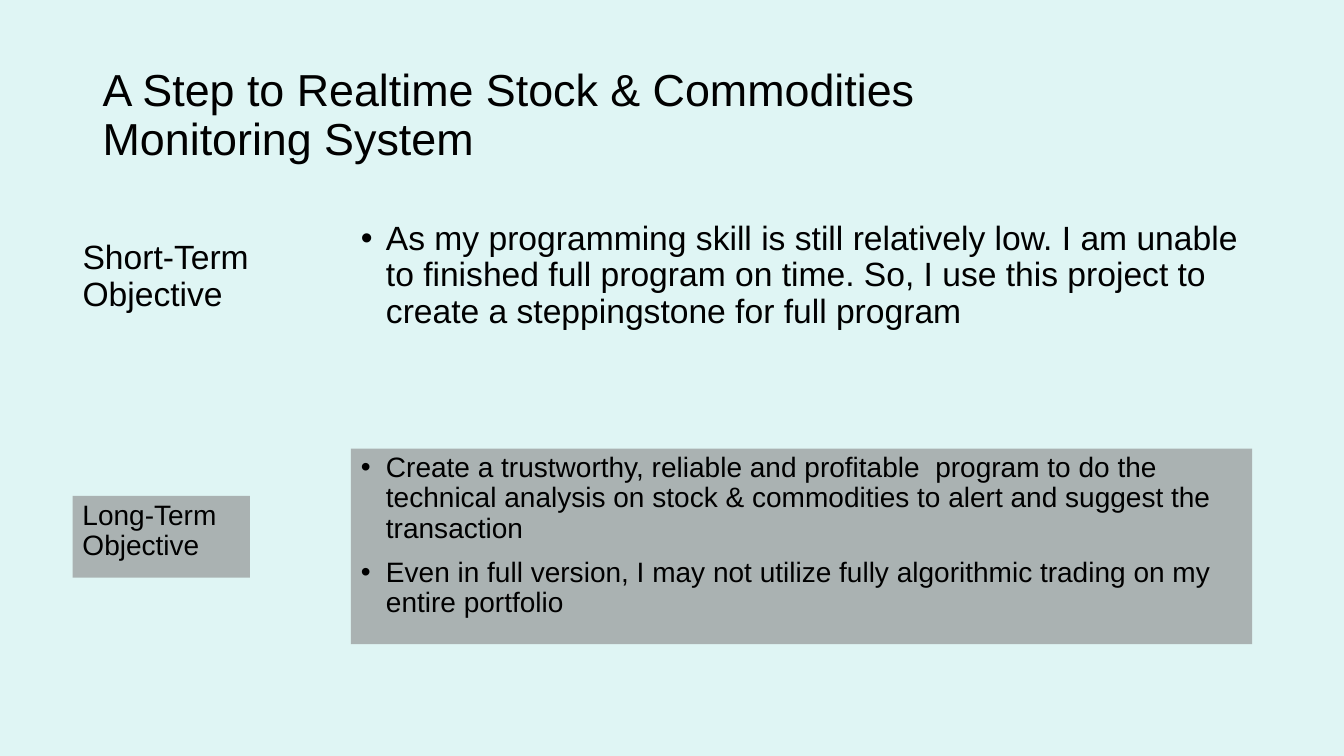
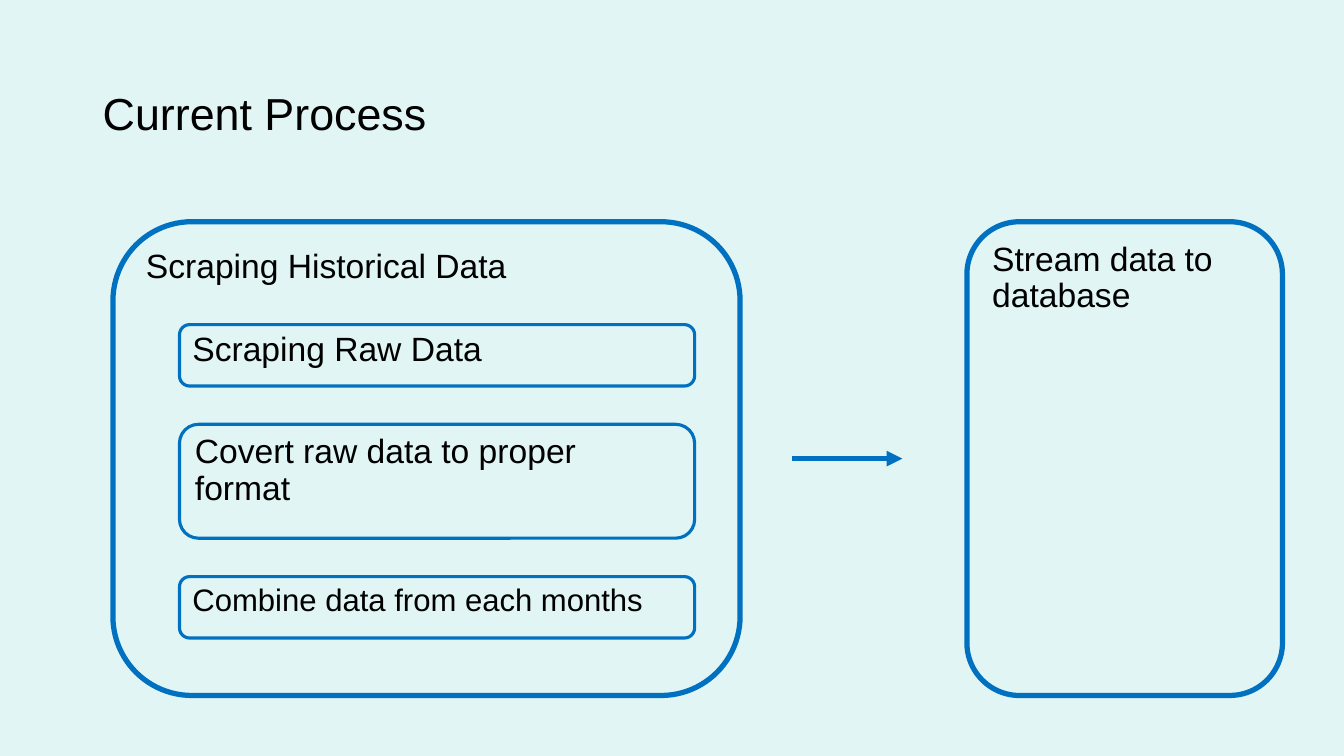
from lxml.etree import SubElement
from pptx import Presentation
from pptx.dml.color import RGBColor
from pptx.enum.shapes import MSO_CONNECTOR, MSO_SHAPE
from pptx.enum.text import MSO_ANCHOR, PP_ALIGN
from pptx.oxml.ns import qn
from pptx.util import Inches, Pt

COLORS = {
    "objectives_bg": "DFF5F4",
    "process_bg": "E0F5F4",
    "text": "000000",
    "highlight": "767171",
    "outline": "0070C0",
}
FONT = "Arial"
TITLE_BOX = (0.92, 0.38, 11.5, 1.55)


def color(name):
    return RGBColor.from_string(COLORS[name])


def write(shape, *paragraphs, size=24, anchor=MSO_ANCHOR.TOP, before=10, bullet=False):
    """Fill a shape with paragraphs; a vertical tab in one breaks the line."""
    frame = shape.text_frame
    frame.word_wrap = True
    frame.vertical_anchor = anchor
    for index, words in enumerate(paragraphs):
        paragraph = frame.add_paragraph() if index else frame.paragraphs[0]
        paragraph.text = words
        paragraph.alignment = PP_ALIGN.LEFT
        paragraph.line_spacing = 0.9
        paragraph.space_before = Pt(before)
        for run in paragraph.runs:
            run.font.name = FONT
            run.font.size = Pt(size)
            run.font.color.rgb = color("text")
        if bullet:
            properties = paragraph._p.get_or_add_pPr()
            properties.set("marL", str(Inches(0.25)))
            properties.set("indent", str(Inches(-0.25)))
            SubElement(properties, qn("a:buFont"), typeface=FONT)
            SubElement(properties, qn("a:buChar"), char="•")


def text_box(slide, box, *paragraphs, **style):
    write(slide.shapes.add_textbox(*map(Inches, box)), *paragraphs, **style)


def highlighted_box(slide, box, *paragraphs, **style):
    """Place text on a half-transparent grey rectangle."""
    panel = slide.shapes.add_shape(MSO_SHAPE.RECTANGLE, *map(Inches, box))
    panel.shadow.inherit = False
    panel.fill.solid()
    panel.fill.fore_color.rgb = color("highlight")
    tint = panel._element.spPr.find(qn("a:solidFill")).find(qn("a:srgbClr"))
    SubElement(tint, qn("a:alpha"), val="50000")
    panel.line.fill.background()
    write(panel, *paragraphs, **style)


def rounded_box(slide, box, words, line_width, **style):
    frame = slide.shapes.add_shape(MSO_SHAPE.ROUNDED_RECTANGLE, *map(Inches, box))
    frame.shadow.inherit = False
    frame.fill.background()
    frame.line.color.rgb = color("outline")
    frame.line.width = Pt(line_width)
    write(frame, words, **style)


def flow_arrow(slide, left, right, y):
    arrow = slide.shapes.add_connector(
        MSO_CONNECTOR.STRAIGHT, Inches(left), Inches(y), Inches(right), Inches(y))
    arrow.line.color.rgb = color("outline")
    arrow.line.width = Pt(3.75)
    SubElement(arrow.line._get_or_add_ln(), qn("a:tailEnd"), type="triangle")
    SubElement(arrow._element.spPr, qn("a:effectLst"))


def titled_slide(deck, title, background):
    slide = deck.slides.add_slide(deck.slide_layouts[6])
    slide.background.fill.solid()
    slide.background.fill.fore_color.rgb = color(background)
    text_box(slide, TITLE_BOX, title, size=32, anchor=MSO_ANCHOR.MIDDLE, before=0)
    return slide


def objective_row(slide, place, label_box, label, details_box, details, size):
    """Put a label and its bulleted details side by side."""
    place(slide, label_box, label, size=size)
    place(slide, details_box, *details, size=size, bullet=True)


def objectives_slide(deck):
    slide = titled_slide(
        deck, "A Step to Realtime Stock & Commodities\vMonitoring System", "objectives_bg")
    label_left, details_left, details_width = 0.72, 3.48, 8.94
    objective_row(
        slide, text_box,
        (label_left, 2.34, 2.62, 1.23), "Short-Term Objective",
        (details_left, 2.15, details_width, 2.1),
        ["As my programming skill is still relatively low. I am unable to finished full "
         "program on time. So, I use this project to create a steppingstone for full program"],
        size=24)
    objective_row(
        slide, highlighted_box,
        (label_left, 4.92, 1.76, 0.81), "Long-Term Objective",
        (details_left, 4.45, details_width, 1.94),
        ["Create a trustworthy, reliable and profitable  program to do the technical analysis "
         "on stock & commodities to alert and suggest the transaction",
         "Even in full version, I may not utilize fully algorithmic trading on my entire "
         "portfolio"],
        size=20)


def scraping_stage(slide, left, top, width, height):
    """Draw the stage frame with its steps stacked at equal gaps."""
    rounded_box(slide, (left, top, width, height), "Scraping Historical Data", 3.75)
    steps = [
        ("Scraping Raw Data", 0.61, 24),
        ("Covert raw data to proper format", 1.13, 24),
        ("Combine data from each months", 0.61, 22.2),
    ]
    gap = 0.38
    step_top = top + 1.02
    for words, step_height, size in steps:
        rounded_box(slide, (left + 0.66, step_top, 5.11, step_height), words, 2.25, size=size)
        step_top += step_height + gap


def process_slide(deck):
    slide = titled_slide(deck, "Current Process", "process_bg")
    top, height = 2.2, 4.7
    scraping_stage(slide, 1.12, top, 6.22, height)
    rounded_box(slide, (9.59, top, 3.13, height), "Stream data to database", 3.75)
    flow_arrow(slide, 7.86, 8.95, top + height / 2)


def main():
    deck = Presentation()
    deck.slide_width, deck.slide_height = Inches(13.33), Inches(7.5)
    objectives_slide(deck)
    process_slide(deck)
    deck.save("out.pptx")


if __name__ == "__main__":
    main()
